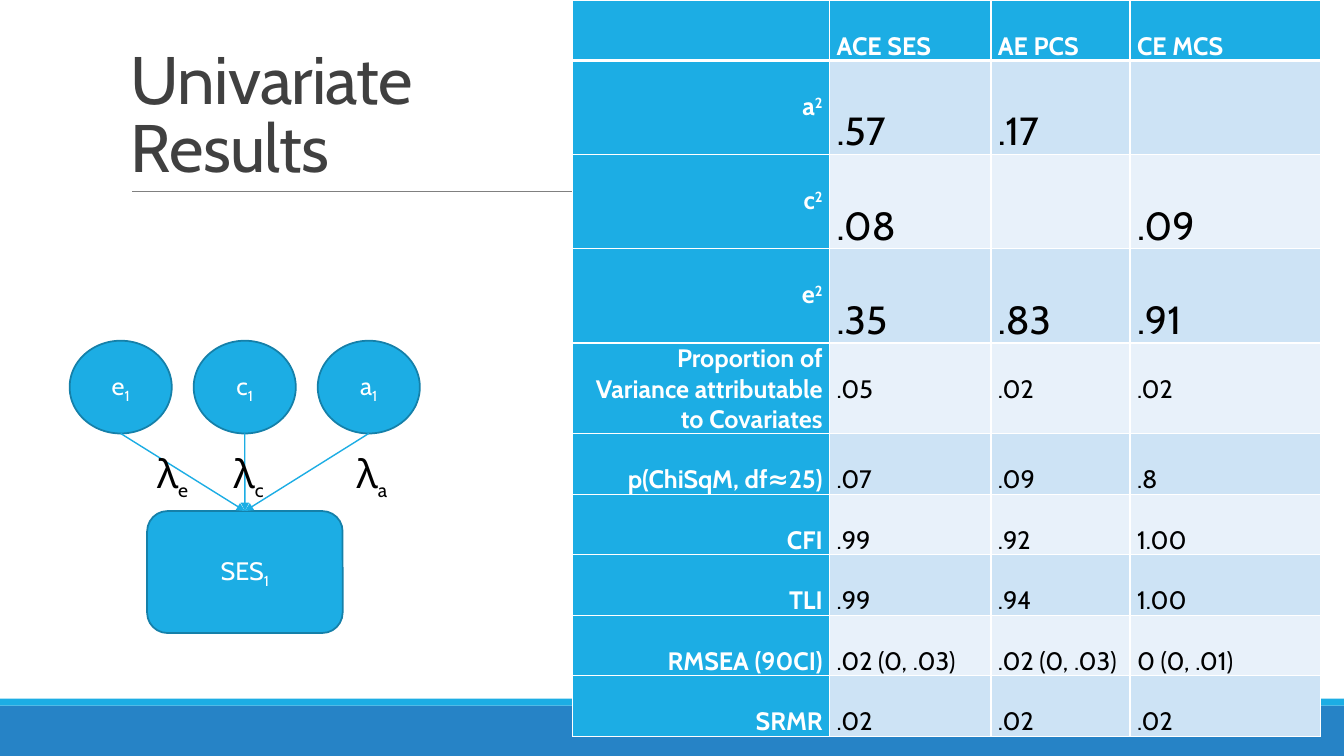
"""Build a slide of univariate twin-model results: a path diagram beside a table of estimates and fit."""
import dataclasses
import typing

import lxml.etree
import pptx
import pptx.dml.color
import pptx.enum.shapes
import pptx.enum.text
import pptx.oxml.ns
import pptx.shapes.autoshape
import pptx.slide
import pptx.table
import pptx.text.text
import pptx.util

RGBColor = pptx.dml.color.RGBColor
ShapeType = pptx.enum.shapes.MSO_SHAPE
Align = pptx.enum.text.PP_ALIGN
Anchor = pptx.enum.text.MSO_ANCHOR

WHITE = RGBColor(0xFF, 0xFF, 0xFF)
BLACK = RGBColor(0x00, 0x00, 0x00)
CHARCOAL = RGBColor(0x40, 0x40, 0x40)
GREY = RGBColor(0x80, 0x80, 0x80)
SKY = RGBColor(0x1C, 0xAD, 0xE4)
OUTLINE = RGBColor(0x15, 0x80, 0xA9)
FOOTER = RGBColor(0x26, 0x83, 0xC6)
BANDS = (RGBColor(0xCD, 0xE3, 0xF5), RGBColor(0xE8, 0xF1, 0xFA))

FONT = "Cabin"
GRID_COLUMNS = 100
GRID_ROWS = 100
SLIDE_WIDTH = pptx.util.Inches(13.33)
SLIDE_HEIGHT = pptx.util.Inches(7.5)


@dataclasses.dataclass(frozen=True)
class Area:
    left: float
    top: float
    width: float
    height: float

    def emu(self) -> tuple[int, int, int, int]:
        return across(self.left), down(self.top), across(self.width), down(self.height)


@dataclasses.dataclass(frozen=True)
class Piece:
    text: str
    size: float = 18
    baseline: int = 0


@dataclasses.dataclass(frozen=True)
class Block:
    kind: ShapeType
    area: Area
    fill: RGBColor
    outline: typing.Optional[RGBColor] = None
    label: tuple[Piece, ...] = ()


@dataclasses.dataclass(frozen=True)
class ResultRow:
    heading: tuple[Piece, ...]
    values: tuple[str, str, str]
    value_size: float = 18
    height: float = 6
    heading_spacing: float = 2


TITLE_AREA = Area(9, 4.13, 24.68, 21.2)
LAMBDA_AREA = Area(10.95, 58.8, 18.9, 11.87)
LAMBDA_TABS = (5.7, 14.85)
SES_AREA = Area(10.95, 67.6, 14.55, 16.13)
FACTOR_AREA = Area(5.18, 45.07, 7.6, 12.27)
FACTOR_STEP = 9.23
FACTORS = "eca"
TABLE_LEFT = 42.6
TABLE_COLUMNS = (19.13, 12, 10.35, 14.18)

LAMBDAS = (
    Piece("λ", 28), Piece("e\t", 24, -25),
    Piece("λ", 28), Piece("c\t", 24, -25),
    Piece("λ", 28), Piece("a", 24, -25),
)

RESULTS = (
    ResultRow((), ("ACE SES", "AE PCS", "CE MCS")),
    ResultRow((Piece("a"), Piece("2", baseline=30)), (".57", ".17", ""), 28),
    ResultRow((Piece("c"), Piece("2", baseline=30)), (".08", "", ".09"), 28),
    ResultRow((Piece("e"), Piece("2", baseline=30)), (".35", ".83", ".91"), 28),
    ResultRow((Piece("Proportion of Variance attributable to Covariates"),),
              (".05", ".02", ".02"), height=9.07, heading_spacing=1),
    ResultRow((Piece("p(ChiSqM, df≈25)"),), (".07", ".09", ".8")),
    ResultRow((Piece("CFI"),), (".99", ".92", "1.00")),
    ResultRow((Piece("TLI"),), (".99", ".94", "1.00")),
    ResultRow((Piece("RMSEA (90CI)"),), (".02 (0, .03)", ".02 (0, .03)", "0 (0, .01)")),
    ResultRow((Piece("SRMR"),), (".02", ".02", ".02")),
)


def across(columns: float) -> int:
    return round(SLIDE_WIDTH * columns / GRID_COLUMNS)


def down(rows: float) -> int:
    return round(SLIDE_HEIGHT * rows / GRID_ROWS)


def set_all(target: object, values: dict[str, object]) -> None:
    for name, value in values.items():
        setattr(target, name, value)


def write(paragraph: pptx.text.text._Paragraph, pieces: tuple[Piece, ...], color: RGBColor,
          bold: bool = False, tracking: int = 0, **layout: object) -> None:
    set_all(paragraph, layout)
    for piece in pieces:
        run = paragraph.add_run()
        run.text = piece.text
        set_all(run.font, {"name": FONT, "size": pptx.util.Pt(piece.size), "bold": bold})
        run.font.color.rgb = color
        for name, value in {"baseline": piece.baseline * 1000, "spc": tracking}.items():
            if value:
                run._r.get_or_add_rPr().set(name, str(value))


def add_block(slide: pptx.slide.Slide, block: Block) -> None:
    shape = slide.shapes.add_shape(block.kind, *block.area.emu())
    shape.shadow.inherit = False
    shape.fill.solid()
    shape.fill.fore_color.rgb = block.fill
    if block.outline is None:
        shape.line.fill.background()
    else:
        shape.line.color.rgb = block.outline
        shape.line.width = pptx.util.Pt(1.25)
    if block.label:
        shape.text_frame.vertical_anchor = Anchor.MIDDLE
        write(shape.text_frame.paragraphs[0], block.label, WHITE, alignment=Align.CENTER)


def add_line(slide: pptx.slide.Slide, start: tuple[float, float], end: tuple[float, float],
             color: RGBColor, width: float, arrow: bool = False) -> None:
    connector = slide.shapes.add_connector(
        pptx.enum.shapes.MSO_CONNECTOR.STRAIGHT,
        across(start[0]), down(start[1]), across(end[0]), down(end[1]))
    connector.line.color.rgb = color
    connector.line.width = pptx.util.Pt(width)
    if arrow:
        line = connector.line._get_or_add_ln()
        lxml.etree.SubElement(line, pptx.oxml.ns.qn("a:tailEnd"), type="triangle")
    lxml.etree.SubElement(connector._element.spPr, pptx.oxml.ns.qn("a:effectLst"))


def add_text_box(slide: pptx.slide.Slide, area: Area, anchor: Anchor) -> pptx.text.text.TextFrame:
    frame = slide.shapes.add_textbox(*area.emu()).text_frame
    set_all(frame, {"word_wrap": True, "vertical_anchor": anchor})
    return frame


def add_borders(cell: pptx.table._Cell, row_index: int) -> None:
    properties = cell._tc.get_or_add_tcPr()
    for position, side in enumerate("LRTB"):
        points = 3 if (row_index, side) in {(0, "B"), (1, "T")} else 1
        border = lxml.etree.Element(pptx.oxml.ns.qn(f"a:ln{side}"), w=str(pptx.util.Pt(points)))
        fill = lxml.etree.SubElement(border, pptx.oxml.ns.qn("a:solidFill"))
        lxml.etree.SubElement(fill, pptx.oxml.ns.qn("a:srgbClr"), val=str(WHITE))
        properties.insert(position, border)


def add_results(slide: pptx.slide.Slide) -> None:
    area = Area(TABLE_LEFT, 0, sum(TABLE_COLUMNS), sum(row.height for row in RESULTS))
    table = slide.shapes.add_table(len(RESULTS), len(TABLE_COLUMNS), *area.emu()).table
    for column, width in zip(table.columns, TABLE_COLUMNS):
        column.width = across(width)
    side_margin = pptx.util.Inches(0.07)
    margins = {"margin_left": side_margin, "margin_right": side_margin,
               "margin_top": 0, "margin_bottom": 0}
    for row_index, result in enumerate(RESULTS):
        table.rows[row_index].height = down(result.height)
        values = [(Piece(value, result.value_size),) if value else () for value in result.values]
        for column_index, pieces in enumerate([result.heading, *values]):
            cell = table.cell(row_index, column_index)
            is_side = column_index == 0
            is_heading = is_side or row_index == 0
            set_all(cell, margins)
            cell.fill.solid()
            cell.fill.fore_color.rgb = SKY if is_heading else BANDS[(row_index - 1) % 2]
            add_borders(cell, row_index)
            if pieces:
                write(cell.text_frame.paragraphs[0], pieces, WHITE if is_heading else BLACK, is_heading,
                      alignment=Align.RIGHT if is_side else Align.LEFT,
                      line_spacing=float(result.heading_spacing if is_side else 2))


def add_path_diagram(slide: pptx.slide.Slide) -> None:
    add_block(slide, Block(ShapeType.ROUNDED_RECTANGLE, SES_AREA, SKY, OUTLINE,
                           (Piece("SES"), Piece("1", baseline=-25))))
    target = (SES_AREA.left + SES_AREA.width / 2, SES_AREA.top)
    for index, factor in enumerate(FACTORS):
        area = dataclasses.replace(FACTOR_AREA, left=FACTOR_AREA.left + index * FACTOR_STEP)
        add_block(slide, Block(ShapeType.OVAL, area, SKY, OUTLINE,
                               (Piece(factor), Piece("1", baseline=-25))))
        add_line(slide, (area.left + area.width / 2, area.top + area.height), target, SKY, 1, True)
    frame = add_text_box(slide, LAMBDA_AREA, Anchor.TOP)
    frame.margin_right = 0
    paragraph = frame.paragraphs[0]
    tabs = lxml.etree.SubElement(paragraph._p.get_or_add_pPr(), pptx.oxml.ns.qn("a:tabLst"))
    for stop in LAMBDA_TABS:
        lxml.etree.SubElement(tabs, pptx.oxml.ns.qn("a:tab"), pos=str(across(stop)), algn="l")
    write(paragraph, LAMBDAS, BLACK)


def main() -> None:
    presentation = pptx.Presentation()
    set_all(presentation, {"slide_width": SLIDE_WIDTH, "slide_height": SLIDE_HEIGHT})
    slide = presentation.slides.add_slide(presentation.slide_layouts[6])
    add_block(slide, Block(ShapeType.RECTANGLE, Area(0, 93.33, 100, 6.67), FOOTER))
    add_block(slide, Block(ShapeType.RECTANGLE, Area(0, 92.4, 100, 0.93), SKY))
    add_line(slide, (9.83, 25.33), (91.58, 25.33), GREY, 0.5)
    title = add_text_box(slide, TITLE_AREA, Anchor.BOTTOM)
    write(title.paragraphs[0], (Piece("Univariate Results", 48),), CHARCOAL,
          tracking=-50, line_spacing=0.85)
    add_path_diagram(slide)
    add_results(slide)
    presentation.save("out.pptx")


if __name__ == "__main__":
    main()
